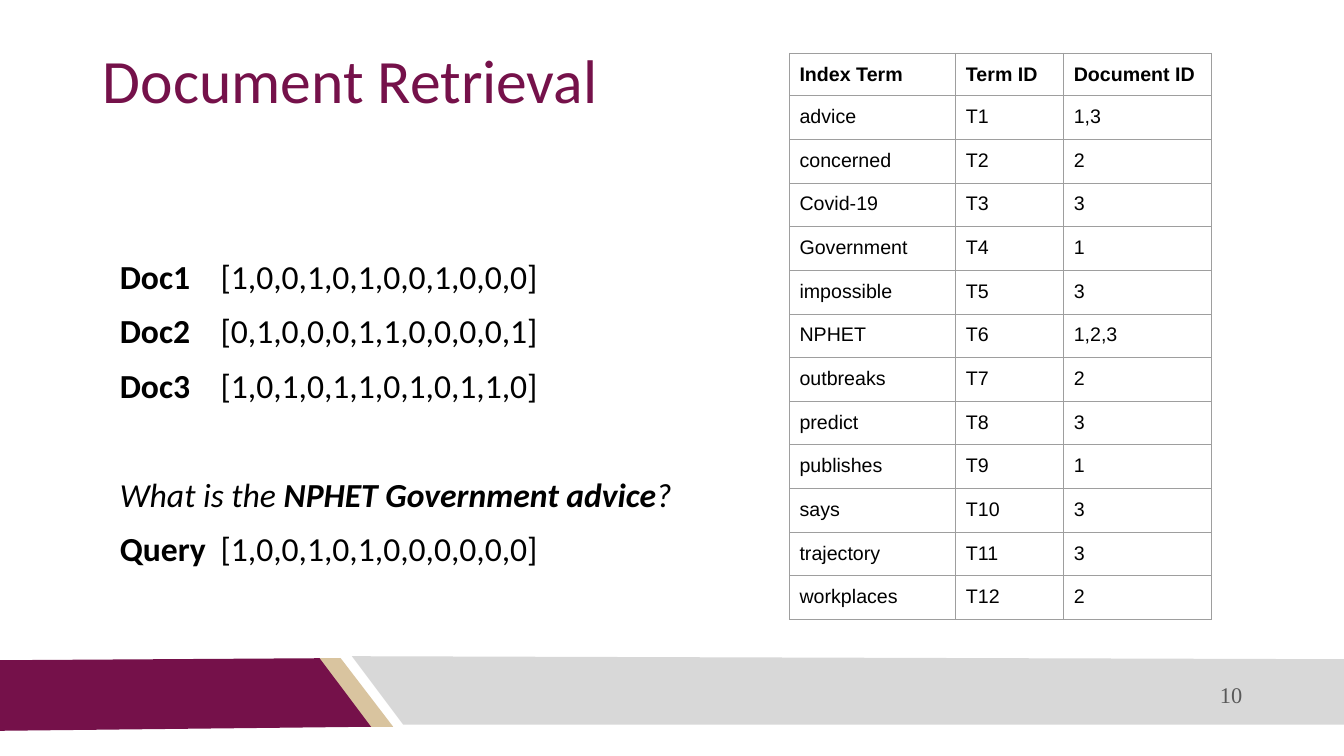
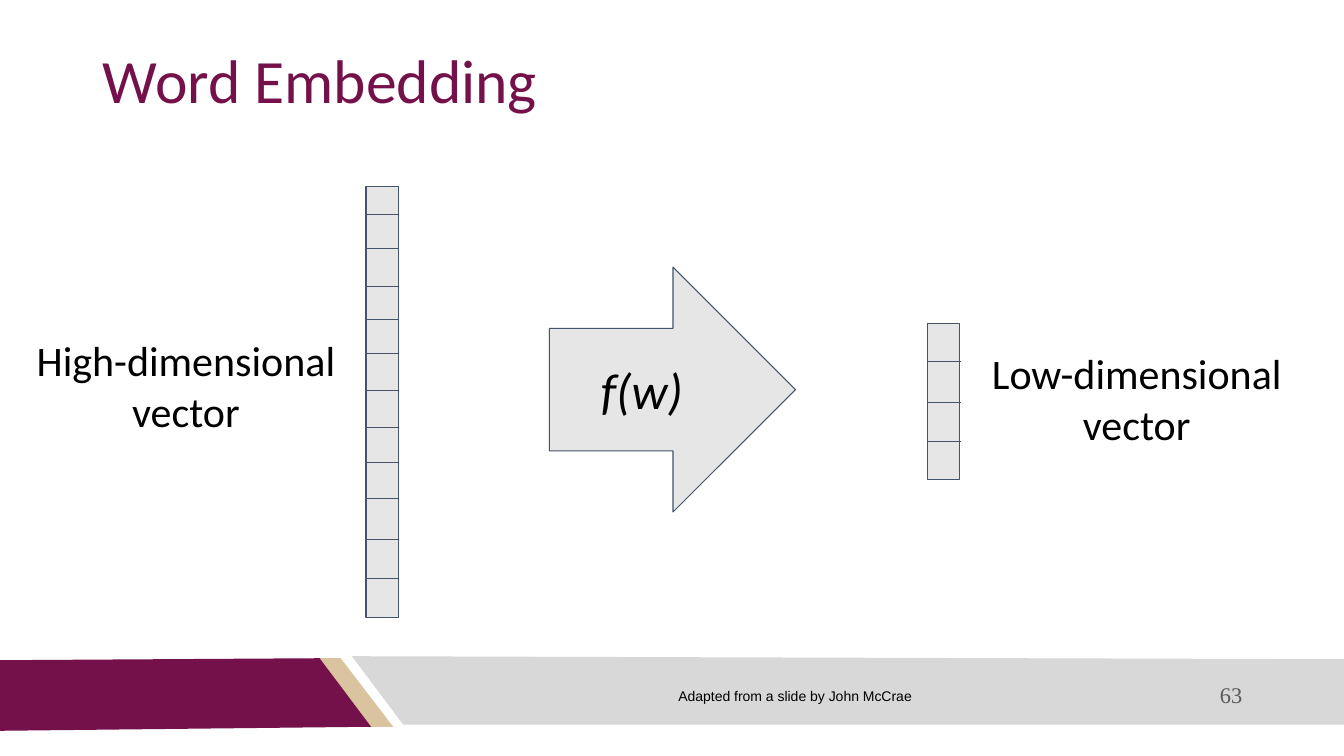
from dataclasses import dataclass

from lxml import etree
from pptx import Presentation, util as u
from pptx.dml.color import RGBColor
from pptx.enum import shapes, text
from pptx.oxml.ns import qn


@dataclass(frozen=True)
class Theme:
    wine: str = "75114A"
    sand: str = "D9C49F"
    band: str = "D8D8D8"
    ink: str = "000000"
    page: str = "595959"
    fill: str = "E7E6E6"
    edge: str = "44546A"
    grid: str = "9E9E9E"
    main: str = "Calibri"
    plain: str = "Arial"
    serif: str = "Times New Roman"
    title: int = 44
    sign: int = 36
    label: int = 30
    body: int = 24
    number: int = 16
    cell: int = 14
    note: int = 10
    line: float = 0.75


T = Theme()
SCALE = 9144
LEFT, MID, RIGHT = text.PP_ALIGN.LEFT, text.PP_ALIGN.CENTER, text.PP_ALIGN.RIGHT
TOP, CORE = text.MSO_ANCHOR.TOP, text.MSO_ANCHOR.MIDDLE

BANDS = [
    (T.sand, [(316, 653), (338, 653), (390, 721), (367, 721)]),
    (T.wine, [(0, 655), (317, 653), (368, 721), (0, 725)]),
    (T.band, [(1333, 719), (400, 719), (349, 651), (1333, 654)]),
]
TERMS = [
    ("advice", "1,3"), ("concerned", "2"), ("Covid-19", "3"),
    ("Government", "1"), ("impossible", "3"), ("NPHET", "1,2,3"),
    ("outbreaks", "2"), ("predict", "3"), ("publishes", "1"),
    ("says", "3"), ("trajectory", "3"), ("workplaces", "2"),
]
BOLD, SLANT = {"bold": True}, {"italic": True}
LINES = [
    (0, [("Doc1", BOLD), ("\t[1,0,0,1,0,1,0,0,1,0,0,0]", {})]),
    (10, [("Doc2", BOLD), ("\t[0,1,0,0,0,1,1,0,0,0,0,1]", {})]),
    (10, [("Doc3", BOLD), ("\t[1,0,1,0,1,1,0,1,0,1,1,0]", {})]),
    (49, [("What is the ", SLANT), ("NPHET Government advice", BOLD | SLANT),
          ("?", SLANT)]),
    (10, [("Query", BOLD), ("\t[1,0,0,1,0,1,0,0,0,0,0,0]", {})]),
]


def px(*vals):
    return [u.Emu(v * SCALE) for v in vals]


def assign(item, **vals):
    for key, val in vals.items():
        setattr(item, key, val)


def paint(item, tint):
    item.solid()
    item.fore_color.rgb = RGBColor.from_string(tint)


def stroke(item):
    item.line.color.rgb = RGBColor.from_string(T.edge)
    item.line.width = u.Pt(T.line)


def write(para, words, size, face=T.main, tint=T.ink, **style):
    run = para.add_run()
    run.text = words
    assign(run.font, size=u.Pt(size), name=face, **style)
    run.font.color.rgb = RGBColor.from_string(tint)


def frame(item, pad=10, anchor=TOP):
    side, edge = px(10, pad)
    assign(item.text_frame, word_wrap=True, auto_size=text.MSO_AUTO_SIZE.NONE,
           vertical_anchor=anchor, margin_left=side, margin_right=side,
           margin_top=edge, margin_bottom=edge)
    return item.text_frame


def label(slide, box, words, size, align=MID, pad=10, anchor=TOP, **style):
    item = slide.shapes.add_textbox(*px(*box))
    para = frame(item, pad, anchor).paragraphs[0]
    para.alignment = align
    write(para, words, size, **style)


def bands(slide, layout):
    for tint, points in BANDS:
        form = slide.shapes.build_freeform(*points[0], scale=SCALE)
        form.add_line_segments(points[1:], close=True)
        item = form.convert_to_shape()
        item.shadow.inherit = False
        paint(item.fill, tint)
        item.line.fill.background()
        layout.shapes.element.append(item.element)


def start(deck, layout, title, number):
    slide = deck.slides.add_slide(layout)
    head = slide.shapes.title
    left, top, width, height = px(92, 40, 1150, 145)
    assign(head, left=left, top=top, width=width, height=height)
    para = frame(head).paragraphs[0]
    assign(para, alignment=LEFT, line_spacing=0.9)
    write(para, title, T.title, tint=T.wine)
    label(slide, (792, 669, 450, 40), number, T.number, RIGHT, 5, CORE,
          face=T.serif, tint=T.page)
    return slide


def border(cell):
    props = cell._tc.get_or_add_tcPr()
    for side in ("lnL", "lnR", "lnT", "lnB"):
        line = etree.SubElement(props, qn(f"a:{side}"), w=str(u.Pt(T.line)))
        fill = etree.SubElement(line, qn("a:solidFill"))
        etree.SubElement(fill, qn("a:srgbClr"), val=T.grid)


def table(slide):
    rows = [("Index Term", "Term ID", "Document ID")]
    rows += [(term, f"T{i}", docs) for i, (term, docs) in enumerate(TERMS, 1)]
    grid = slide.shapes.add_table(len(rows), 3, *px(783, 53, 419, 562)).table
    assign(grid, first_row=False, horz_banding=False)
    for col, width in zip(grid.columns, px(165, 107, 147)):
        col.width = width
    first, rest = px(42, 520)
    pad, = px(10)
    for r, row in enumerate(rows):
        grid.rows[r].height = rest // len(TERMS) if r else first
        for c, words in enumerate(row):
            cell = grid.cell(r, c)
            assign(cell, margin_left=pad, margin_right=pad, margin_top=pad,
                   margin_bottom=pad, vertical_anchor=TOP)
            border(cell)
            cell.fill.background()
            write(cell.text_frame.paragraphs[0], words, T.cell, T.plain,
                  bold=r == 0)


def vectors(slide):
    item = slide.shapes.add_textbox(*px(109, 249, 597, 323))
    body = frame(item, 5)
    stop, = px(100)
    for i, (gap, runs) in enumerate(LINES):
        para = body.add_paragraph() if i else body.paragraphs[0]
        tabs = etree.SubElement(para._p.get_or_add_pPr(), qn("a:tabLst"))
        etree.SubElement(tabs, qn("a:tab"), pos=str(stop), algn="l")
        assign(para, alignment=LEFT, space_before=u.Pt(gap))
        for words, style in runs:
            write(para, words, T.body, **style)


def block(slide, kind, box):
    item = slide.shapes.add_shape(kind, *px(*box))
    item.shadow.inherit = False
    paint(item.fill, T.fill)
    stroke(item)
    return item


def stack(slide, left, top, height, cuts):
    block(slide, shapes.MSO_SHAPE.RECTANGLE, (left, top, 32, height))
    for y in cuts:
        line = slide.shapes.add_connector(
            shapes.MSO_CONNECTOR.STRAIGHT, *px(left - 1, y, left + 33, y))
        stroke(line)
        etree.SubElement(line.element.spPr, qn("a:effectLst"))


def search(deck, layout):
    slide = start(deck, layout, "Document Retrieval", "10")
    bands(slide, layout)
    table(slide)
    vectors(slide)


def embed(deck, layout):
    slide = start(deck, layout, "Word Embedding", "63")
    stack(slide, 363, 185, 428,
          [213, 247, 284, 317, 351, 387, 424, 459, 495, 535, 574])
    arrow = block(slide, shapes.MSO_SHAPE.RIGHT_ARROW, (545, 265, 244, 243))
    para = frame(arrow, anchor=CORE).paragraphs[0]
    para.alignment = MID
    write(para, "f(w)", T.sign, italic=True)
    stack(slide, 920, 321, 155, [359, 399, 438])
    label(slide, (19, 322, 331, 129), "High-dimensional vector", T.label)
    label(slide, (962, 335, 331, 129), "Low-dimensional vector", T.label)
    label(slide, (425, 672, 727, 39), "Adapted from a slide by John McCrae",
          T.note, face=T.plain)


def main():
    deck = Presentation()
    width, height = px(1333, 750)
    assign(deck, slide_width=width, slide_height=height)
    layout = deck.slide_layouts[5]
    search(deck, layout)
    embed(deck, layout)
    deck.save("out.pptx")


if __name__ == "__main__":
    main()
